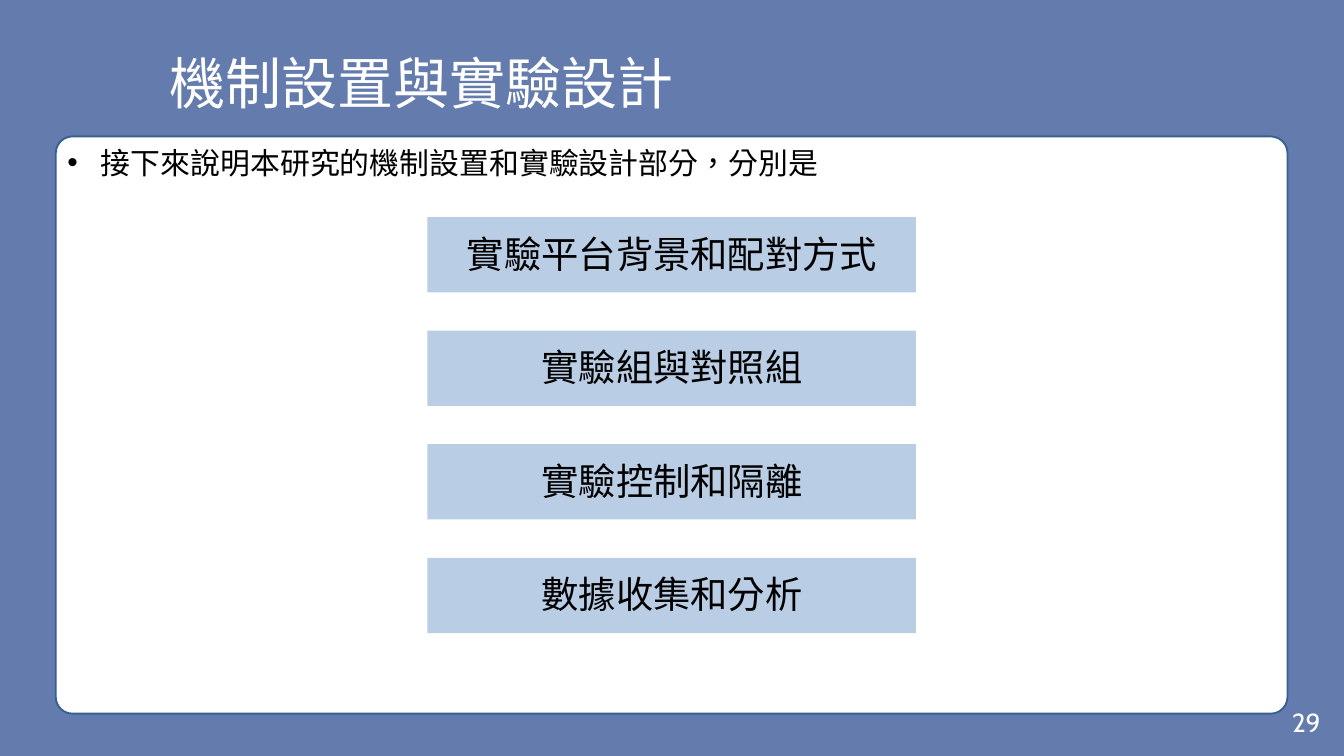
from dataclasses import dataclass

from lxml.etree import SubElement
from pptx import Presentation
from pptx.dml.color import RGBColor
from pptx.enum.shapes import MSO_SHAPE as Shape
from pptx.enum.text import MSO_ANCHOR as Anchor, MSO_AUTO_SIZE as AutoSize, PP_ALIGN as Align
from pptx.oxml import parse_xml
from pptx.oxml.ns import nsdecls, qn
from pptx.util import Inches, Pt

BACKDROP = RGBColor(0x64, 0x7C, 0xAD)
WHITE = RGBColor(0xFF, 0xFF, 0xFF)
BLACK = RGBColor(0x00, 0x00, 0x00)
BORDER = RGBColor(0x37, 0x60, 0x92)
BAR = RGBColor(0xB9, 0xCD, 0xE5)
CJK = "Noto Sans CJK SC"


@dataclass(frozen=True)
class Box:
    left: float
    top: float
    width: float
    height: float

    def lengths(self) -> tuple:
        return tuple(Inches(v) for v in (self.left, self.top, self.width, self.height))


@dataclass(frozen=True)
class Style:
    font: str
    size: int
    color: RGBColor
    align: Align = Align.LEFT


TITLE = Style(CJK, 60, WHITE)
INTRO = Style(CJK, 32, BLACK)
LABEL = Style("Calibri", 40, BLACK, Align.CENTER)
NUMBER = Style("Cabin", 28, WHITE, Align.RIGHT)

TOPICS = ["實驗平台背景和配對方式", "實驗組與對照組", "實驗控制和隔離", "數據收集和分析"]
FIRST_TOP = 3.23
STEP = 1.69


def place(shape, box: Box) -> None:
    shape.left, shape.top, shape.width, shape.height = box.lengths()


def write(tf, text: str, style: Style):
    tf.word_wrap = True
    tf.auto_size = AutoSize.NONE
    p = tf.paragraphs[0]
    p.alignment = style.align
    p.space_before = Pt(0)
    r = p.add_run()
    r.text = text
    r.font.name = style.font
    r.font.size = Pt(style.size)
    r.font.color.rgb = style.color
    rPr = r._r.get_or_add_rPr()
    rPr.set("lang", "zh-TW")
    rPr.find(qn("a:latin")).addnext(parse_xml(f'<a:ea {nsdecls("a")} typeface="{CJK}"/>'))
    return p


def clear_insets(tf) -> None:
    tf.margin_left = tf.margin_top = tf.margin_right = tf.margin_bottom = 0


def add_title(s) -> None:
    title = s.shapes.title
    place(title, Box(2.52, 0.72, 9.47, 1.01))
    tf = title.text_frame
    clear_insets(tf)
    tf.vertical_anchor = Anchor.MIDDLE
    write(tf, "機制設置與實驗設計", TITLE)


def add_panel(s) -> None:
    panel = s.placeholders[1]
    place(panel, Box(0.83, 2.03, 18.33, 8.59))
    panel.element.spPr.append(parse_xml(
        f'<a:prstGeom {nsdecls("a")} prst="roundRect"><a:avLst>'
        '<a:gd name="adj" fmla="val 2900"/></a:avLst></a:prstGeom>'))
    panel.fill.solid()
    panel.fill.fore_color.rgb = WHITE
    panel.line.color.rgb = BORDER
    panel.line.width = Pt(2)
    tf = panel.text_frame
    tf.vertical_anchor = Anchor.TOP
    p = write(tf, "接下來說明本研究的機制設置和實驗設計部分，分別是", INTRO)
    pPr = p._p.get_or_add_pPr()
    pPr.set("marL", str(Inches(0.5)))
    pPr.set("indent", str(Inches(-0.5)))
    SubElement(pPr, qn("a:buFont")).set("typeface", "Arial")
    SubElement(pPr, qn("a:buChar")).set("char", "•")


def add_topic(s, top: float, text: str) -> None:
    group = s.shapes.add_group_shape()
    bar = group.shapes.add_shape(Shape.RECTANGLE, *Box(6.36, top, 7.27, 1.12).lengths())
    bar.shadow.inherit = False
    bar.fill.solid()
    bar.fill.fore_color.rgb = BAR
    bar.line.fill.background()
    label = group.shapes.add_textbox(*Box(6.89, top + 0.25, 6.22, 0.63).lengths())
    tf = label.text_frame
    clear_insets(tf)
    p = write(tf, text, LABEL)
    p.line_spacing = Pt(44.8)


def add_number(s) -> None:
    sp = s.shapes.add_textbox(*Box(17.42, 10.54, 2.33, 0.4).lengths())
    sp.text_frame.vertical_anchor = Anchor.MIDDLE
    write(sp.text_frame, "29", NUMBER)


def main() -> None:
    prs = Presentation()
    prs.slide_width, prs.slide_height = Inches(20), Inches(11.25)
    s = prs.slides.add_slide(prs.slide_layouts[1])
    s.background.fill.solid()
    s.background.fill.fore_color.rgb = BACKDROP
    add_title(s)
    add_panel(s)
    for i, topic in enumerate(TOPICS):
        add_topic(s, FIRST_TOP + i * STEP, topic)
    add_number(s)
    prs.save("out.pptx")


if __name__ == "__main__":
    main()
